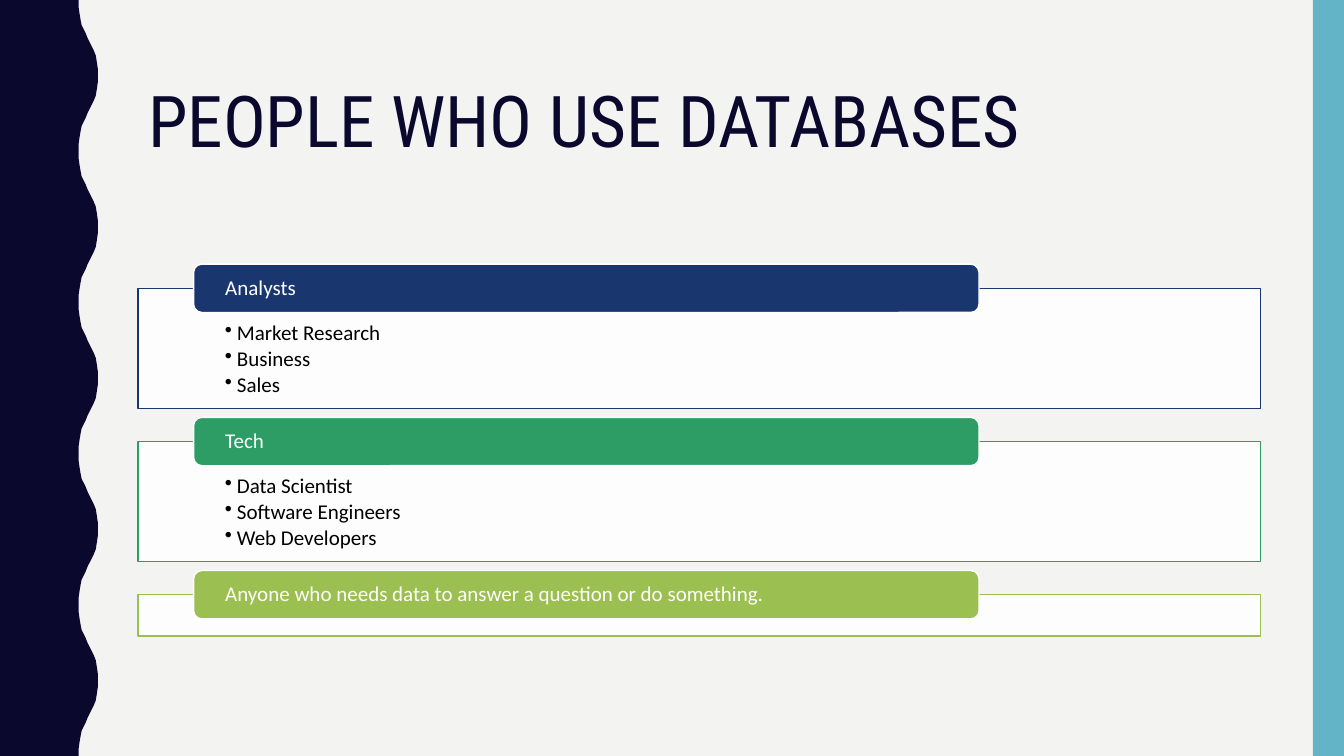
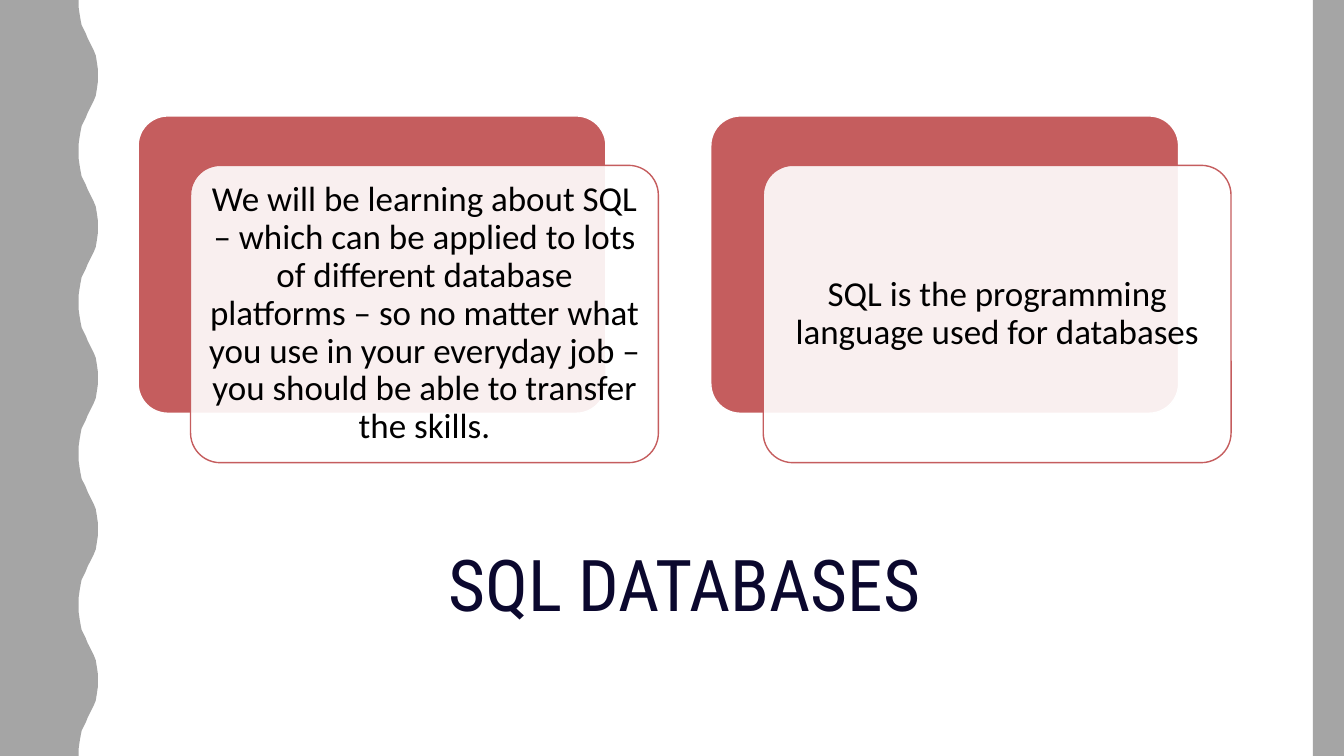
import pptx
import pptx.dml.color
import pptx.enum.shapes
import pptx.enum.text
import pptx.oxml.ns
import pptx.util
from lxml import etree

PX = 9144  # 100 px to the inch
WIDE, HIGH = 1333, 750


class Theme:
    navy, teal, gray = "0B082E", "62B4C6", "A5A5A5"
    paper, white, black = "F3F3F2", "FFFFFF", "000000"
    blue, green, lime, red = "19376E", "2E9D65", "9CBF51", "C55D5E"
    head, body = "Roboto Condensed", "Calibri"
    title, card, item = 51, 25, 15


Kind = pptx.enum.shapes.MSO_SHAPE
Align = pptx.enum.text.PP_ALIGN
Anchor = pptx.enum.text.MSO_ANCHOR
color = pptx.dml.color.RGBColor.from_string
qn = pptx.oxml.ns.qn


def box(slide, kind, at, fill, line=None, alpha=100, bend=0):
    """Add a preset shape; alpha is the fill's opacity in percent, bend the corner ratio."""
    shape = slide.shapes.add_shape(kind, *(n * PX for n in at))
    shape.shadow.inherit = False
    if bend:
        shape.adjustments[0] = bend
    shape.fill.solid()
    shape.fill.fore_color.rgb = color(fill)
    if alpha < 100:
        tint = shape.element.spPr.find(qn("a:solidFill") + "/" + qn("a:srgbClr"))
        etree.SubElement(tint, qn("a:alpha"), val=str(alpha * 1000))
    if line:
        shape.line.color.rgb = color(line)
        shape.line.width = pptx.util.Pt(1)
    else:
        shape.line.fill.background()
    return shape


def write(shape, lines, size, ink, font=Theme.body, inset=(10, 10, 10, 10),
          align=Align.LEFT, anchor=Anchor.MIDDLE, bullet=False):
    """Fill a shape with one paragraph per line; inset is left, top, right, bottom."""
    frame = shape.text_frame
    frame.word_wrap = True
    frame.vertical_anchor = anchor
    (frame.margin_left, frame.margin_top,
     frame.margin_right, frame.margin_bottom) = (n * PX for n in inset)
    for i, line in enumerate(lines):
        para = frame.add_paragraph() if i else frame.paragraphs[0]
        para.alignment = align
        para.line_spacing = 0.9
        if bullet:
            para.space_before = pptx.util.Pt(2.2 if i else 0)
            props = para._p.get_or_add_pPr()
            props.set("marL", str(12 * PX))
            props.set("indent", str(-12 * PX))
            etree.SubElement(props, qn("a:buChar"), char="•")
        run = para.add_run()
        run.text = line
        run.font.name = font
        run.font.size = pptx.util.Pt(size)
        run.font.color.rgb = color(ink)


deck = pptx.Presentation()
deck.slide_width, deck.slide_height = WIDE * PX, HIGH * PX

# One swell of the wavy edge runs out to its crest and mirrors back
rise = [(78, 0), (78, 7), (79, 14), (80, 20), (81, 25), (83, 29), (85, 33), (87, 38),
        (89, 42), (91, 46), (93, 50), (95, 55), (96, 61), (97, 68), (97, 75)]
swell = rise + [(x, 150 - y) for x, y in rise[-2::-1]]
edge = [(x, y + top) for top in range(0, HIGH, 150) for x, y in swell]

# Frame and title of each slide
pages = [
    ("PEOPLE WHO USE DATABASES", (137, 42, 1113, 163), Align.LEFT, Anchor.MIDDLE,
     Theme.paper, Theme.navy, Theme.teal),
    ("SQL DATABASES", (137, 541, 1084, 139), Align.CENTER, Anchor.TOP,
     Theme.white, Theme.gray, Theme.gray),
]
slides = []
for title, at, align, anchor, back, left, right in pages:
    slide = deck.slides.add_slide(deck.slide_layouts[6])
    slide.background.fill.solid()
    slide.background.fill.fore_color.rgb = color(back)
    pen = slide.shapes.build_freeform(0, 0, scale=PX)
    pen.add_line_segments(edge + [(0, HIGH)], close=True)
    wave = pen.convert_to_shape()
    wave.shadow.inherit = False
    wave.fill.solid()
    wave.fill.fore_color.rgb = color(left)
    wave.line.fill.background()
    box(slide, Kind.RECTANGLE, (1302, 0, 31, HIGH), right)
    label = slide.shapes.add_textbox(*(n * PX for n in at))
    write(label, [title], Theme.title, Theme.navy, Theme.head,
          (10, 5, 10, 5), align, anchor)
    slides.append(slide)
people, sql = slides

# People: stacked panels, each with a heading bar over its top edge
groups = [
    ("Analysts", ["Market Research", "Business", "Sales"], Theme.blue, 119),
    ("Tech", ["Data Scientist", "Software Engineers", "Web Developers"], Theme.green, 119),
    ("Anyone who needs data to answer a question or do something.", [], Theme.lime, 41),
]
top = 286
for name, items, hue, tall in groups:
    panel = box(people, Kind.RECTANGLE, (137, top, 1113, tall), Theme.white, hue, 90)
    write(panel, items, Theme.item, Theme.black, inset=(86, 34, 86, 12),
          anchor=Anchor.TOP, bullet=True)
    bar = box(people, Kind.ROUNDED_RECTANGLE, (192, top - 24, 779, 48),
              hue, Theme.white, bend=0.17)
    write(bar, [name], Theme.item, Theme.white, inset=(29, 0, 29, 0))
    top += tall + 33

# SQL: two cards, each a red plate with a pale sheet shifted over it
notes = [
    "We will be learning about SQL – which can be applied to lots of different database "
    "platforms – so no matter what you use in your everyday job – you should be able to "
    "transfer the skills.",
    "SQL is the programming language used for databases",
]
for i, note in enumerate(notes):
    left = 137 + 568 * i
    box(sql, Kind.ROUNDED_RECTANGLE, (left, 115, 464, 295), Theme.red, Theme.white, bend=0.1)
    sheet = box(sql, Kind.ROUNDED_RECTANGLE, (left + 52, 164, 464, 295),
                Theme.white, Theme.red, 90, 0.1)
    write(sheet, [note], Theme.card, Theme.black, align=Align.CENTER)

deck.save("out.pptx")
